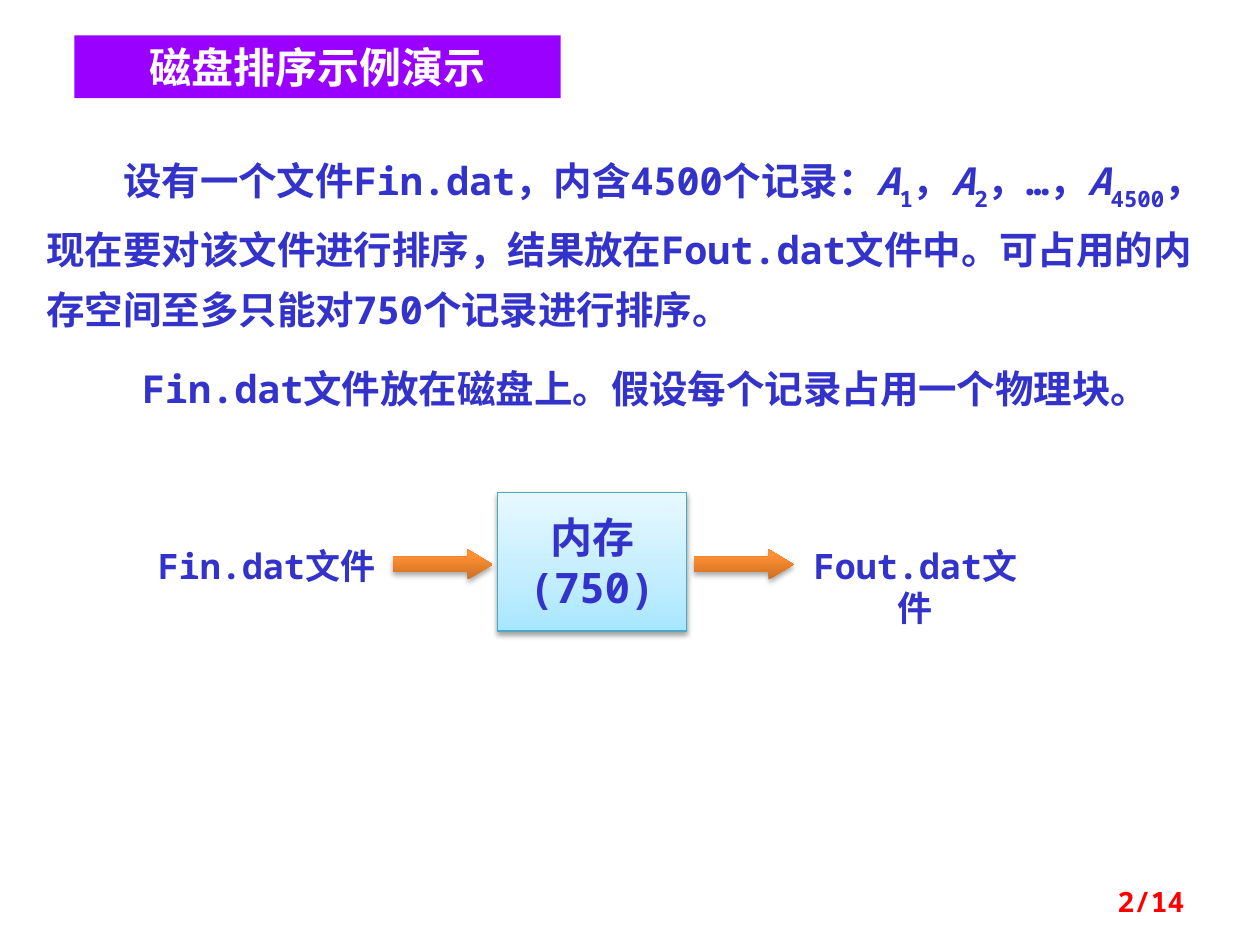
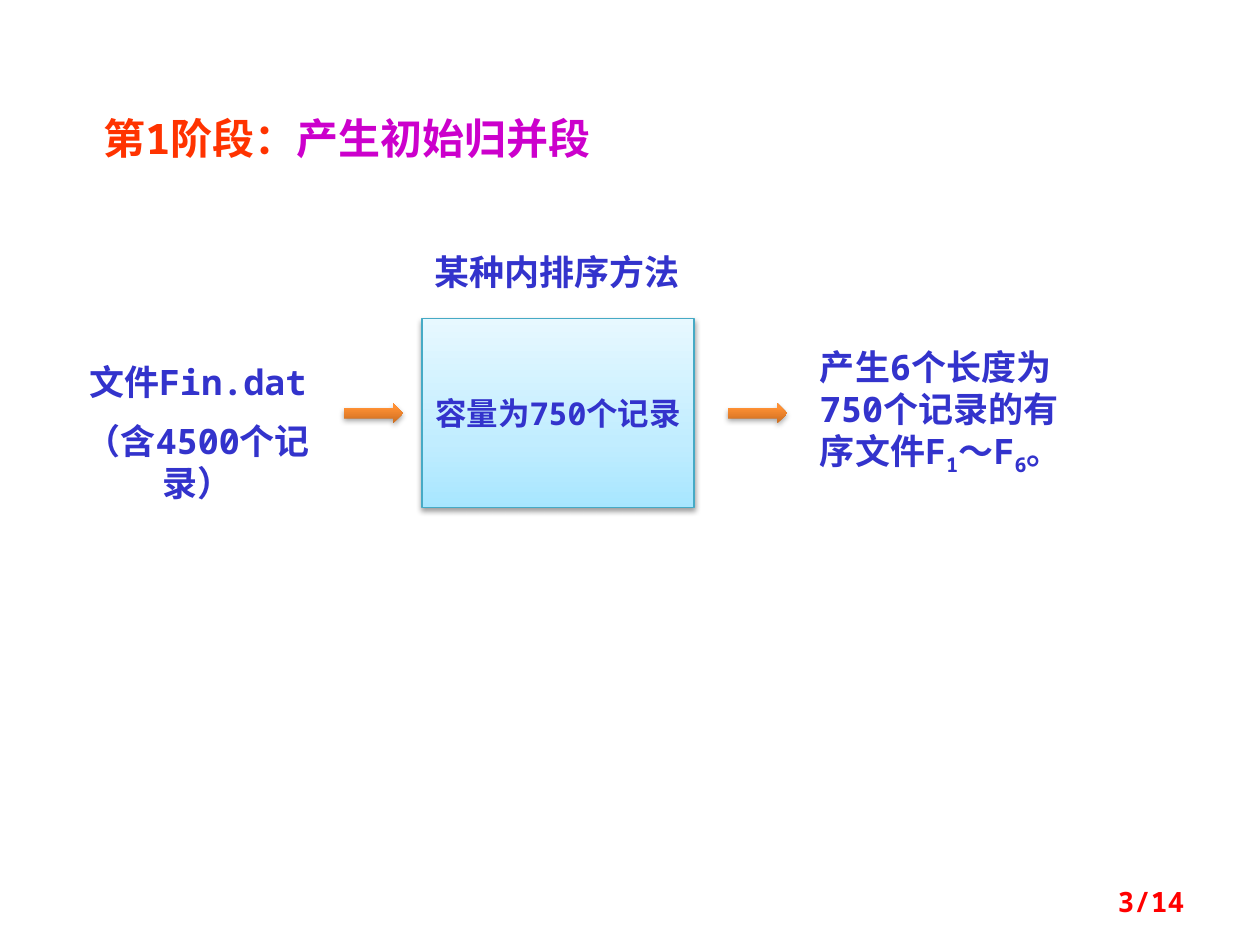
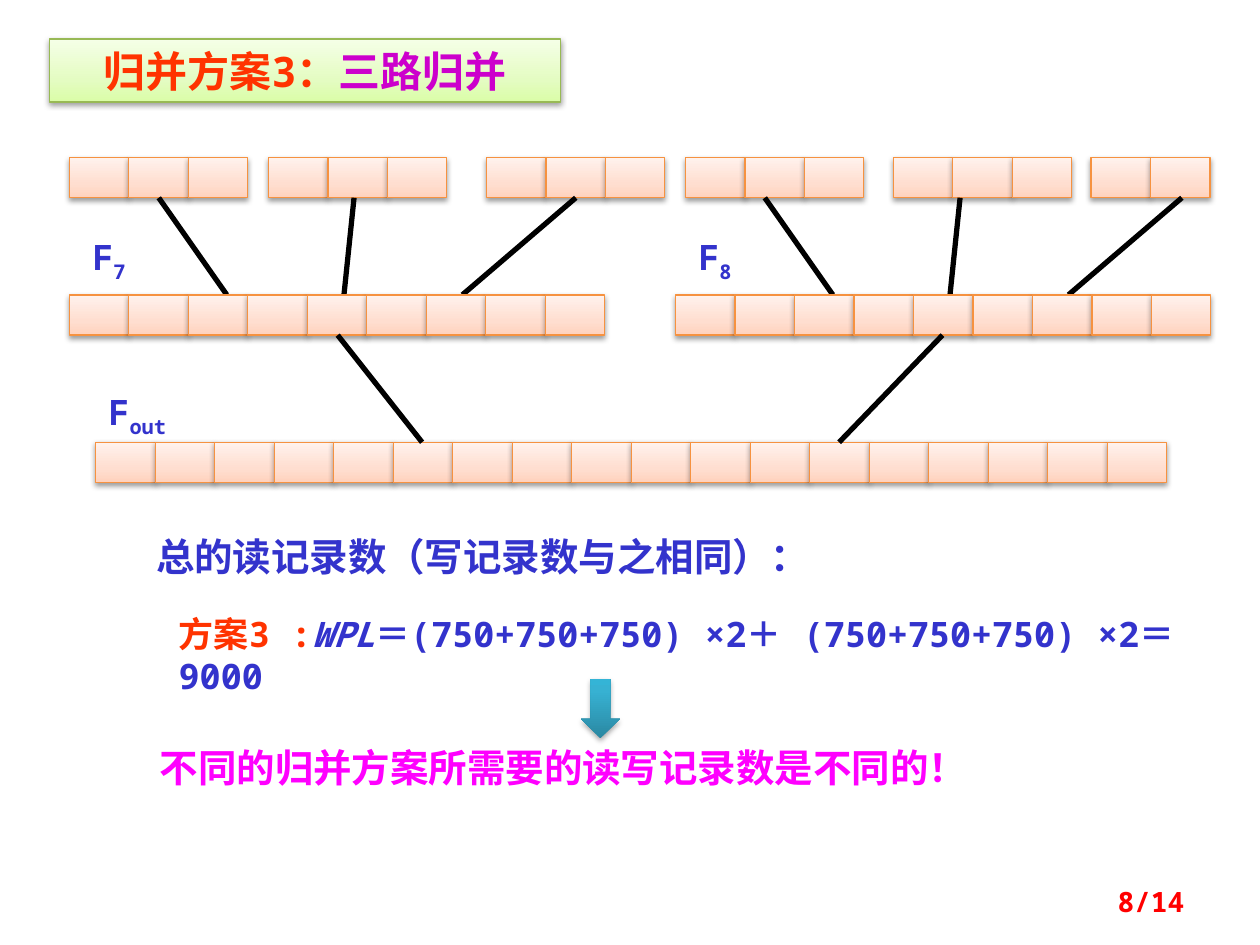
from copy import deepcopy

from lxml import etree
from pptx import Presentation
from pptx.dml.color import RGBColor
from pptx.enum import shapes, text
from pptx.oxml import ns
from pptx.util import Inches, Pt

FONT = "Noto Sans Mono"
BLUE, RED, PLUM = "3333CC", "FF3300", "CC00CC"
WHITE, PINK, BLACK, PAGE = "FFFFFF", "FF00FF", "000000", "FF0000"
VIOLET = "9900FF"

# Gradient stops run from bottom to top: (position, colour).
SKY = [(0, "A7E6FF"), (0.35, "C1EDFF"), (1, "E7F8FF")]
LIME = [(0, "DAFDA7"), (0.35, "E4FCC2"), (1, "F5FFE7")]
PEACH = [(0, "FFD2BD"), (0.35, "FFDED0"), (1, "FFF2ED")]
AMBER = [(0, "CC6E20"), (0.8, "FF9034"), (1, "FF9136")]
TEAL = [(0, "2A88A2"), (0.8, "37B1D2"), (1, "34B4D6")]
EDGE_SKY, EDGE_LIME, EDGE_PEACH = "46AAC5", "98B955", "F69240"

LEFT, MID, RIGHT = (text.PP_ALIGN.LEFT, text.PP_ALIGN.CENTER,
                    text.PP_ALIGN.RIGHT)
KIND = shapes.MSO_SHAPE
CELL, CELL_H = 8.5 / 18, 0.32  # 18 cells span 8.5 inches


def paint(code):
    """Turn a hex string into a colour."""
    return RGBColor.from_string(code)


def child(node, tag, **attrs):
    """Add a DrawingML child element."""
    return etree.SubElement(node, ns.qn("a:" + tag),
                            {key: str(val) for key, val in attrs.items()})


class Deck:
    """The shared style and the current slide."""

    def __init__(self):
        """Open a blank 10 by 7.5 inch deck."""
        self.deck = Presentation()
        self.deck.slide_width, self.deck.slide_height = Inches(10), Inches(7.5)
        self.slide = None

    def page(self, label):
        """Start a slide and put its page label at the foot."""
        self.slide = self.deck.slides.add_slide(self.deck.slide_layouts[5])
        self.note((7.17, 6.95, 2.33, 0.4), [[(label, PAGE)]], 16, RIGHT,
                  middle=True)

    def words(self, shape, paras, size, align=LEFT, middle=False, wrap=True,
              inset=True, lead=None, gap=True, dents=()):
        """Fill a shape; a run is (text, colour, mark).

        The mark is "i" for italic or a number for the baseline shift.
        """
        frame = shape.text_frame
        frame.auto_size = text.MSO_AUTO_SIZE.NONE
        frame.word_wrap = wrap
        frame.vertical_anchor = (text.MSO_ANCHOR.MIDDLE if middle
                                 else text.MSO_ANCHOR.TOP)
        if not inset:
            frame.margin_left = frame.margin_right = 0
            frame.margin_top = frame.margin_bottom = 0
        for row, runs in enumerate(paras):
            para = frame.add_paragraph() if row else frame.paragraphs[0]
            para.alignment = align
            para.space_before = Pt(size / 2 if row and gap else 0)
            if lead:
                para.line_spacing = lead
            if dents:
                props = para._p.get_or_add_pPr()
                props.set("indent", str(Inches(dents[row])))
            for part, tone, *mark in runs:
                self.span(para, part, size, tone, *mark)

    def span(self, para, part, size, tone, mark=None):
        """Add one bold run."""
        run = para.add_run()
        run.text = part
        font = run.font
        font.size, font.bold, font.name = Pt(size), True, FONT
        font.color.rgb = paint(tone)
        props = run._r.get_or_add_rPr()
        child(props, "ea", typeface=FONT)
        if mark == "i":
            font.italic = True
        elif mark:
            props.set("baseline", str(mark * 1000))

    def note(self, place, paras, size=20, align=LEFT, **style):
        """Add a text box."""
        box = self.slide.shapes.add_textbox(*map(Inches, place))
        self.words(box, paras, size, align, **style)

    def title(self, place, runs):
        """Move and fill the title placeholder."""
        head = self.slide.shapes.title
        head.left, head.top, head.width, head.height = map(Inches, place)
        self.words(head, [runs], 24, MID)
        return head

    def glow(self, shape, stops, edge=None):
        """Give a shape a vertical gradient, an edge and a soft shadow."""
        fill = shape.fill
        fill.gradient()
        fill.gradient_angle = 90
        bag = shape._element.spPr.find(".//" + ns.qn("a:gsLst"))
        bag.append(deepcopy(bag[-1]))
        for stop, (spot, tone) in zip(fill.gradient_stops, stops):
            stop.position, stop.color.rgb = spot, paint(tone)
        if edge:
            shape.line.color.rgb = paint(edge)
            shape.line.width = Pt(0.75)
        else:
            shape.line.fill.background()
        shape.shadow.inherit = False
        fx = shape._element.spPr.find(ns.qn("a:effectLst"))
        shade = child(fx, "outerShdw", blurRad=Pt(3.15),
                      dist=Pt(1.6 if edge else 1.8), dir=5400000,
                      rotWithShape=0)
        tint = child(shade, "srgbClr", val=BLACK)
        child(tint, "alpha", val=38000 if edge else 35000)

    def form(self, kind, place, stops, edge=None):
        """Add a preset shape with the glow style."""
        shape = self.slide.shapes.add_shape(kind, *map(Inches, place))
        self.glow(shape, stops, edge)
        return shape

    def store(self, place, lines, size):
        """Add the memory box."""
        box = self.form(KIND.RECTANGLE, place, SKY, EDGE_SKY)
        self.words(box, [[(line, BLUE)] for line in lines], size, MID,
                   middle=True, wrap=False, gap=False)

    def arrows(self, lefts, top, width, height, head=0.5):
        """Add a row of equal right arrows."""
        for left in lefts:
            arrow = self.form(KIND.RIGHT_ARROW, (left, top, width, height),
                              AMBER)
            arrow.adjustments[1] = head

    def strip(self, left, top, count):
        """Add a file as a row of record cells."""
        for col in range(count):
            self.form(KIND.RECTANGLE, (left + col * CELL, top, CELL, CELL_H),
                      PEACH, EDGE_PEACH)

    def link(self, *ends):
        """Add a thick black line from x, y to x, y."""
        line = self.slide.shapes.add_connector(
            shapes.MSO_CONNECTOR.STRAIGHT, *map(Inches, ends))
        line.line.color.rgb, line.line.width = paint(BLACK), Pt(3)
        child(line._element.spPr, "effectLst")

    def label(self, left, top, width, sub):
        """Label a merged file as F with a subscript."""
        self.note((left, top, width, 0.33), [[("F", BLUE), (sub, BLUE, -25)]],
                  20, MID, inset=False)


def task(deck):
    """Slide: the sorting task."""
    deck.page("2/14")
    head = deck.title((0.59, 0.28, 3.86, 0.5), [("磁盘排序示例演示", WHITE)])
    head.fill.solid()
    head.fill.fore_color.rgb = paint(VIOLET)
    deck.note((0.27, 1.07, 9.45, 2.16), [
        [("设有一个文件Fin.dat，内含4500个记录：", BLUE),
         ("A", BLUE, "i"), ("1", BLUE, -30), ("，", BLUE),
         ("A", BLUE, "i"), ("2", BLUE, -30), ("，…，", BLUE),
         ("A", BLUE, "i"), ("4500", BLUE, -30),
         ("，现在要对该文件进行排序，结果放在Fout.dat文件中。"
          "可占用的内存空间至多只能对750个记录进行排序。", BLUE)],
        [("Fin.dat文件放在磁盘上。假设每个记录占用一个物理块。", BLUE)],
    ], 22, lead=1.3, dents=(0.61, 0.76))
    deck.store((3.95, 3.91, 1.5, 1.1), ["内存", "(750)"], 24)
    deck.arrows((3.12, 5.51), 4.36, 0.79, 0.24, 0.83)
    for left, file in (1.09, "Fin.dat文件"), (6.24, "Fout.dat文件"):
        deck.note((left, 4.27, 2.05, 0.44), [[(file, BLUE)]], 20, MID)


def stage(deck):
    """Slide: making the first sorted runs."""
    deck.page("3/14")
    deck.title((0.51, 0.84, 4.49, 0.5),
               [("第1阶段：", RED), ("产生初始归并段", PLUM)])
    deck.note((0.31, 2.81, 2.52, 0.93),
              [[("文件Fin.dat", BLUE)], [("（含4500个记录）", BLUE)]], 20, MID)
    deck.note((3.35, 1.94, 2.36, 0.43), [[("某种内排序方法", BLUE)]])
    deck.store((3.35, 2.53, 2.16, 1.5), ["容量为750个记录"], 18)
    deck.arrows((2.73, 5.78), 3.2, 0.47, 0.16)
    deck.note((6.41, 2.69, 2.36, 1.1), [[
        ("产生6个长度为750个记录的有序文件F", BLUE), ("1", BLUE, -25),
        ("～F", BLUE), ("6", BLUE, -25), ("。", BLUE)]])


def merge(deck):
    """Slide: the three-way merge tree and its cost."""
    deck.page("8/14")
    head = deck.title((0.39, 0.31, 4.06, 0.5),
                      [("归并方案3：", RED), ("三路归并", PLUM)])
    deck.glow(head, LIME, EDGE_LIME)
    lefts = (0.55, 2.13, 3.86, 5.44, 7.09, 8.66)
    for left, count in zip(lefts, (3, 3, 3, 3, 3, 2)):
        deck.strip(left, 1.25, count)
    for shift, sub in (0, "7"), (4.81, "8"):
        for start, end in (1.26, 1.8), (2.81, 2.73), (4.57, 3.67):
            deck.link(start + shift, 1.57, end + shift, 2.34)
        deck.label(0.55 + shift, 1.87, 0.63, sub)
        deck.strip(0.55 + shift, 2.34, 9)
    deck.strip(0.76, 3.51, 18)
    deck.label(0.62, 3.1, 0.94, "out")
    for start, end in (7.48, 6.66), (2.68, 3.35):
        deck.link(start, 2.66, end, 3.51)
    deck.note((1.14, 4.18, 6.5, 0.47),
              [[("总的读记录数（写记录数与之相同）：", BLUE)]], 22)
    deck.note((1.32, 4.81, 8.52, 0.44), [[
        ("方案3 :", RED), ("WPL", BLUE, "i"),
        ("＝(750+750+750) ×2＋ (750+750+750) ×2＝9000", BLUE)]])
    deck.note((1.17, 5.86, 7.89, 0.47),
              [[("不同的归并方案所需要的读写记录数是不同的！", PINK)]], 22)
    deck.form(KIND.DOWN_ARROW, (4.61, 5.39, 0.31, 0.47), TEAL)


show = Deck()
for build in (task, stage, merge):
    build(show)
show.deck.save("out.pptx")
